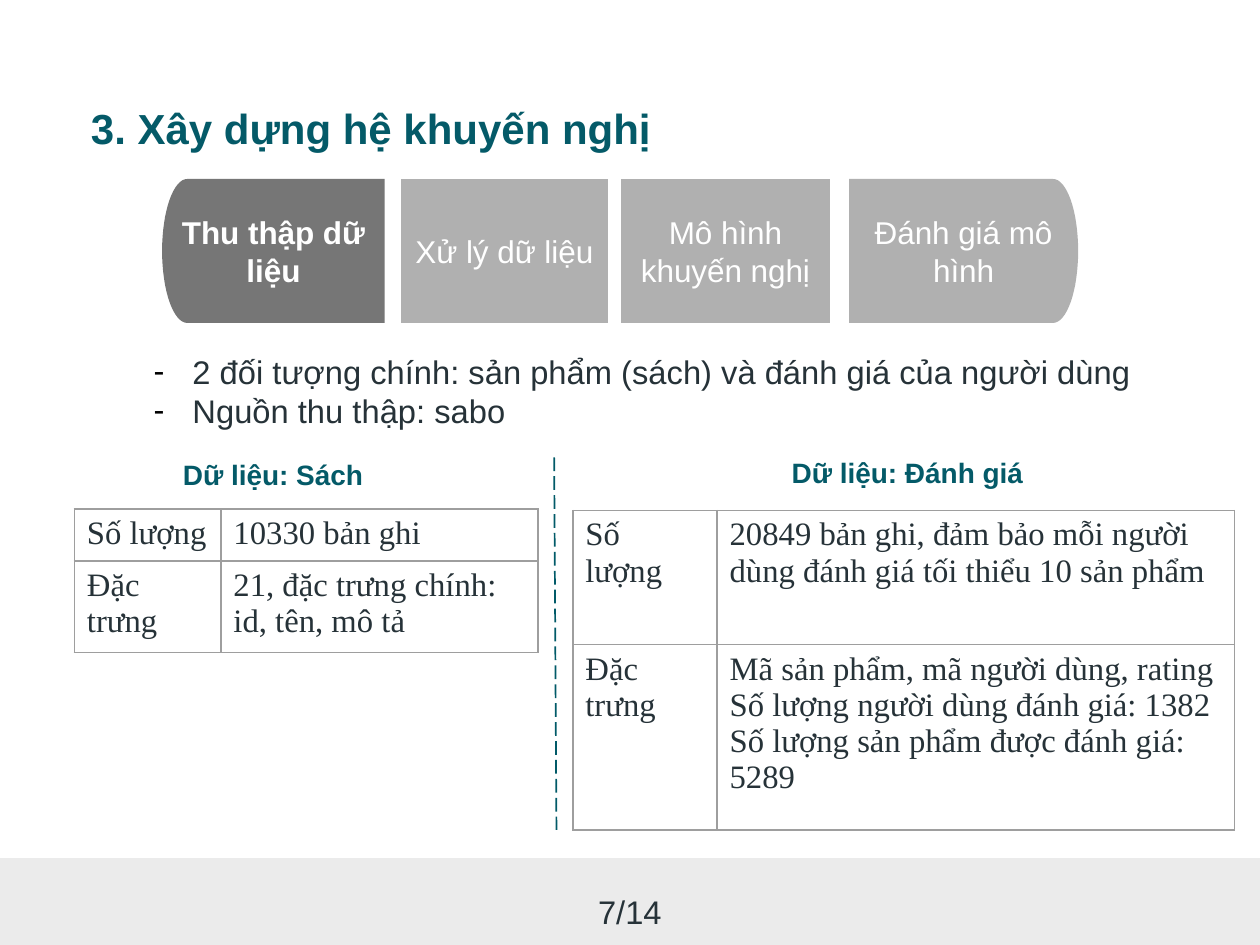
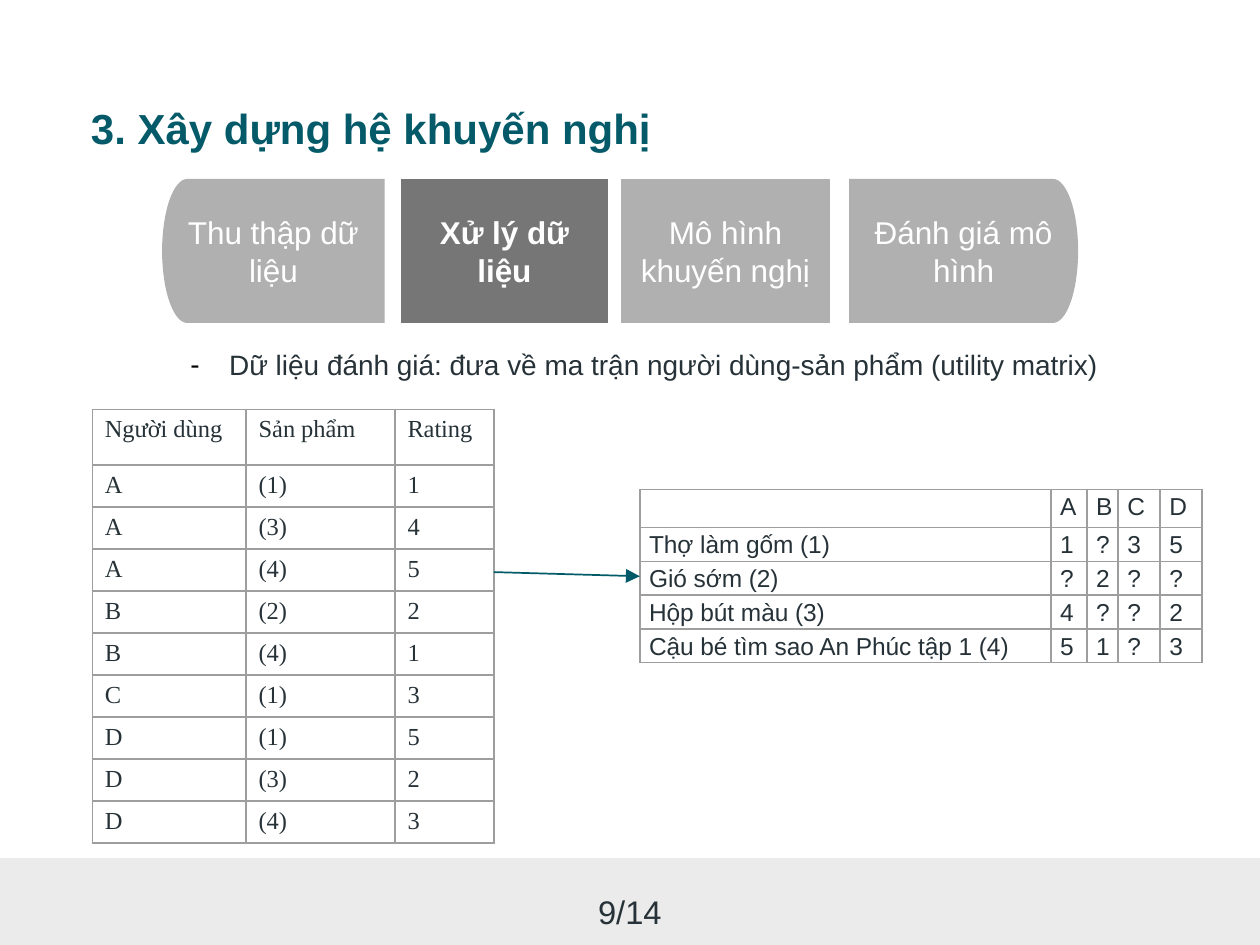
from dataclasses import dataclass
from math import cos, pi, sin
from typing import Any, NamedTuple

from lxml.etree import SubElement
from pptx import Presentation
from pptx.dml.color import RGBColor
from pptx.enum.dml import MSO_LINE
from pptx.enum.shapes import MSO_CONNECTOR, MSO_SHAPE
from pptx.enum.text import MSO_ANCHOR, MSO_AUTO_SIZE, PP_ALIGN
from pptx.oxml.ns import qn
from pptx.util import Pt


@dataclass(frozen=True)
class Theme:
    ink: str = "263238"
    title: str = "045A68"
    rule: str = "015A68"
    border: str = "9E9E9E"
    band: str = "EBEBEB"
    step: str = "B0B0B0"
    active: str = "767676"
    white: str = "FFFFFF"
    bullet: str = "000000"
    sans: str = "Arial"
    serif: str = "Times New Roman"
    title_size: float = 18
    body_size: float = 14
    step_size: float = 13.5
    label_size: float = 12
    small_size: float = 10.5
    line_width: float = 0.75


THEME = Theme()


class Box(NamedTuple):
    left: float
    top: float
    width: float
    height: float

    def lengths(self) -> list[Pt]:
        return [Pt(value) for value in self]


class TextStyle(NamedTuple):
    size: float
    color: str = THEME.ink
    bold: bool = False
    font: str = THEME.sans


class Step(NamedTuple):
    text: str
    left: float
    width: float
    round_left: bool = False
    round_right: bool = False


@dataclass(frozen=True)
class Grid:
    left: float
    top: float
    columns: list[float]
    rows: list[float]
    cells: list[list[str]]
    style: TextStyle
    inset_x: float = 5.4
    inset_y: float = 2.7
    spacing: tuple[float, float, float] | None = None


SLIDE_WIDTH, SLIDE_HEIGHT = 540, 405
BAND_TOP = 367.8
STEP_TOP, STEP_HEIGHT, CAP_WIDTH = 76.7, 61.7, 10.8
HANGING = 16.6
BODY = TextStyle(THEME.body_size)
NOTE = TextStyle(THEME.label_size)
LABEL = TextStyle(THEME.label_size, THEME.title, True)
HEADING = TextStyle(THEME.title_size, THEME.title, True)
RECORD = TextStyle(THEME.body_size, font=THEME.serif)
RATING = TextStyle(THEME.small_size, font=THEME.serif)
MATRIX = TextStyle(THEME.small_size)

STEPS = [
    Step("Thu thập dữ liệu", 69.5, 95.4, round_left=True),
    Step("Xử lý dữ liệu", 171.9, 88.6),
    Step("Mô hình khuyến nghị", 266.2, 89.5),
    Step("Đánh giá mô hình", 363.9, 98.2, round_right=True),
]

BOOKS = Grid(31.9, 218.2, [62.8, 136], [21.9, 39.2], [
    ["Số lượng", "10330 bản ghi"],
    ["Đặc trưng", "21, đặc trưng chính: id, tên, mô tả"],
], RECORD)

REVIEWS = Grid(245.5, 218.8, [61.8, 221.8], [57.5, 79.4], [
    ["Số lượng", "20849 bản ghi, đảm bảo mỗi người dùng đánh giá tối thiểu 10 sản phẩm"],
    ["Đặc trưng", "Mã sản phẩm, mã người dùng, rating\n"
                  "Số lượng người dùng đánh giá: 1382\n"
                  "Số lượng sản phẩm được đánh giá: 5289"],
], RECORD)

RATINGS = Grid(39.6, 175.4, [65.9, 63.8, 42.4], [24] + [18] * 9, [
    ["Người dùng", "Sản phẩm", "Rating"],
    ["A", "(1)", "1"],
    ["A", "(3)", "4"],
    ["A", "(4)", "5"],
    ["B", "(2)", "2"],
    ["B", "(4)", "1"],
    ["C", "(1)", "3"],
    ["D", "(1)", "5"],
    ["D", "(3)", "2"],
    ["D", "(4)", "3"],
], RATING)

UTILITY = Grid(274.2, 209.7, [176.2, 15.4, 13.4, 18, 18], [16.4] + [14.5] * 4, [
    ["", "A", "B", "C", "D"],
    ["Thợ làm gốm (1)", "1", "?", "3", "5"],
    ["Gió sớm (2)", "?", "2", "?", "?"],
    ["Hộp bút màu (3)", "4", "?", "?", "2"],
    ["Cậu bé tìm sao An Phúc tập 1 (4)", "5", "1", "?", "3"],
], MATRIX, inset_x=4, inset_y=0, spacing=(1.15, 6, 8))


def apply(target: Any, values: dict[str, Any]) -> None:
    for name, value in values.items():
        setattr(target, name, value)


def rgb(color: str) -> RGBColor:
    return RGBColor.from_string(color)


def write(frame: Any, text: str, style: TextStyle, **para_format: Any) -> None:
    for index, line in enumerate(text.split("\n")):
        para = frame.add_paragraph() if index else frame.paragraphs[0]
        apply(para, para_format)
        if not line:
            SubElement(para._p, qn("a:endParaRPr"), sz=str(int(style.size * 100)))
            continue
        span = para.add_run()
        span.text = line
        apply(span.font, {"name": style.font, "size": Pt(style.size), "bold": style.bold})
        span.font.color.rgb = rgb(style.color)


def set_frame(frame: Any, inset: float | None = None, **values: Any) -> None:
    if inset is not None:
        values |= {f"margin_{side}": Pt(inset) for side in ("left", "top", "right", "bottom")}
    apply(frame, values)


def paint(shape: Any, color: str) -> None:
    shape.shadow.inherit = False
    shape.fill.solid()
    shape.fill.fore_color.rgb = rgb(color)
    shape.line.fill.background()


def add_text(page: Any, box: Box, text: str, style: TextStyle, wrap: bool = False,
             bullets: bool = False, **para_format: Any) -> None:
    frame = page.shapes.add_textbox(*box.lengths()).text_frame
    set_frame(frame, word_wrap=wrap, auto_size=MSO_AUTO_SIZE.SHAPE_TO_FIT_TEXT)
    write(frame, text, style, **para_format)
    for para in frame.paragraphs if bullets else ():
        properties = para._p.get_or_add_pPr()
        properties.set("marL", str(Pt(HANGING)))
        properties.set("indent", str(-Pt(HANGING)))
        SubElement(SubElement(properties, qn("a:buClr")), qn("a:srgbClr"), val=THEME.bullet)
        SubElement(properties, qn("a:buFont"), typeface=style.font)
        SubElement(properties, qn("a:buChar"), char="-")


def step_side(step: Step, right: bool) -> list[tuple[float, float]]:
    rounded = step.round_right if right else step.round_left
    sign = 1 if right else -1
    edge = step.left + (step.width if right else 0)
    middle, radius = STEP_TOP + STEP_HEIGHT / 2, STEP_HEIGHT / 2
    if not rounded:
        return [(edge, middle - sign * radius), (edge, middle + sign * radius)]
    angles = [pi * (index / 32 - 0.5) for index in range(33)]
    return [(edge + sign * CAP_WIDTH * (cos(angle) - 1), middle + sign * radius * sin(angle))
            for angle in angles]


def add_step(page: Any, step: Step, active: bool) -> None:
    outline = [(Pt(x), Pt(y)) for x, y in step_side(step, True) + step_side(step, False)]
    builder = page.shapes.build_freeform(*outline[0], scale=1.0)
    builder.add_line_segments(outline[1:], close=True)
    shape = builder.convert_to_shape()
    paint(shape, THEME.active if active else THEME.step)
    set_frame(shape.text_frame, 5.2, word_wrap=True, vertical_anchor=MSO_ANCHOR.MIDDLE)
    write(shape.text_frame, step.text, TextStyle(THEME.step_size, THEME.white, active),
          alignment=PP_ALIGN.CENTER)


def add_borders(cell: Any) -> None:
    properties = cell._tc.get_or_add_tcPr()
    for index, side in enumerate(("lnL", "lnR", "lnT", "lnB")):
        line = SubElement(properties, qn(f"a:{side}"), w=str(Pt(THEME.line_width)))
        fill = SubElement(line, qn("a:solidFill"))
        SubElement(fill, qn("a:srgbClr"), val=THEME.border)
        properties.insert(index, line)


def add_grid(page: Any, grid: Grid) -> None:
    box = Box(grid.left, grid.top, sum(grid.columns), sum(grid.rows))
    table = page.shapes.add_table(len(grid.rows), len(grid.columns), *box.lengths()).table
    apply(table, {"first_row": False, "horz_banding": False})
    for column, width in zip(table.columns, grid.columns):
        column.width = Pt(width)
    para_format = {}
    if grid.spacing:
        line, before, after = grid.spacing
        para_format = {"line_spacing": line, "space_before": Pt(before), "space_after": Pt(after)}
    margins = {"margin_left": Pt(grid.inset_x), "margin_right": Pt(grid.inset_x),
               "margin_top": Pt(grid.inset_y), "margin_bottom": Pt(grid.inset_y)}
    for row, height, texts in zip(table.rows, grid.rows, grid.cells):
        row.height = Pt(height)
        for cell, text in zip(row.cells, texts):
            apply(cell, margins)
            cell.fill.background()
            add_borders(cell)
            write(cell.text_frame, text, grid.style, **para_format)


def add_line(page: Any, start: tuple[float, float], end: tuple[float, float],
             dashed: bool = False, arrow: bool = False) -> None:
    ends = [Pt(value) for value in start + end]
    connector = page.shapes.add_connector(MSO_CONNECTOR.STRAIGHT, *ends)
    connector.line.width = Pt(THEME.line_width)
    connector.line.color.rgb = rgb(THEME.rule)
    if dashed:
        connector.line.dash_style = MSO_LINE.LONG_DASH
    properties = connector.element.spPr
    if arrow:
        SubElement(properties.find(qn("a:ln")), qn("a:tailEnd"), type="triangle")
    SubElement(properties, qn("a:effectLst"))


def add_band(layout: Any, page: Any) -> None:
    box = Box(0, BAND_TOP, SLIDE_WIDTH, SLIDE_HEIGHT - BAND_TOP)
    band = page.shapes.add_shape(MSO_SHAPE.RECTANGLE, *box.lengths())
    paint(band, THEME.band)
    layout.shapes.element.insert(2, band.element)


def add_page(deck: Any, number: str, active_step: int) -> Any:
    page = deck.slides.add_slide(deck.slide_layouts[5])
    title = page.shapes.title
    box = Box(33.8, 39.2, 506.2, 31)
    apply(title, dict(zip(("left", "top", "width", "height"), box.lengths())))
    set_frame(title.text_frame, 5.2, word_wrap=True, auto_size=MSO_AUTO_SIZE.NONE,
              vertical_anchor=MSO_ANCHOR.MIDDLE)
    write(title.text_frame, "3. Xây dựng hệ khuyến nghị", HEADING, alignment=PP_ALIGN.LEFT)
    for index, step in enumerate(STEPS):
        add_step(page, step, index == active_step)
    add_text(page, Box(0, 378.7, SLIDE_WIDTH, 24.5), number, BODY, wrap=True,
             alignment=PP_ALIGN.CENTER)
    return page


def build_collection(deck: Any) -> Any:
    page = add_page(deck, "7/14", 0)
    add_text(page, Box(58.8, 147.2, 435.6, 41), "2 đối tượng chính: sản phẩm (sách) và đánh giá "
             "của người dùng\nNguồn thu thập: sabo", BODY, bullets=True)
    add_text(page, Box(71.3, 192.6, 93, 21.6), "Dữ liệu: Sách", LABEL)
    add_text(page, Box(332.2, 191.8, 115, 21.6), "Dữ liệu: Đánh giá", LABEL)
    add_grid(page, BOOKS)
    add_grid(page, REVIEWS)
    add_line(page, (237.5, 196), (238.5, 355.7), dashed=True)
    return page


def build_processing(deck: Any) -> None:
    page = add_page(deck, "9/14", 1)
    add_text(page, Box(74.5, 145.5, 406.8, 21.6), "Dữ liệu đánh giá: đưa về ma trận người "
             "dùng-sản phẩm (utility matrix)", NOTE, bullets=True)
    add_grid(page, UTILITY)
    add_grid(page, RATINGS)
    add_line(page, (211.7, 245.2), (274.2, 247), arrow=True)


def main() -> None:
    deck = Presentation()
    apply(deck, {"slide_width": Pt(SLIDE_WIDTH), "slide_height": Pt(SLIDE_HEIGHT)})
    add_band(deck.slide_layouts[5], build_collection(deck))
    build_processing(deck)
    deck.save("out.pptx")


if __name__ == "__main__":
    main()
